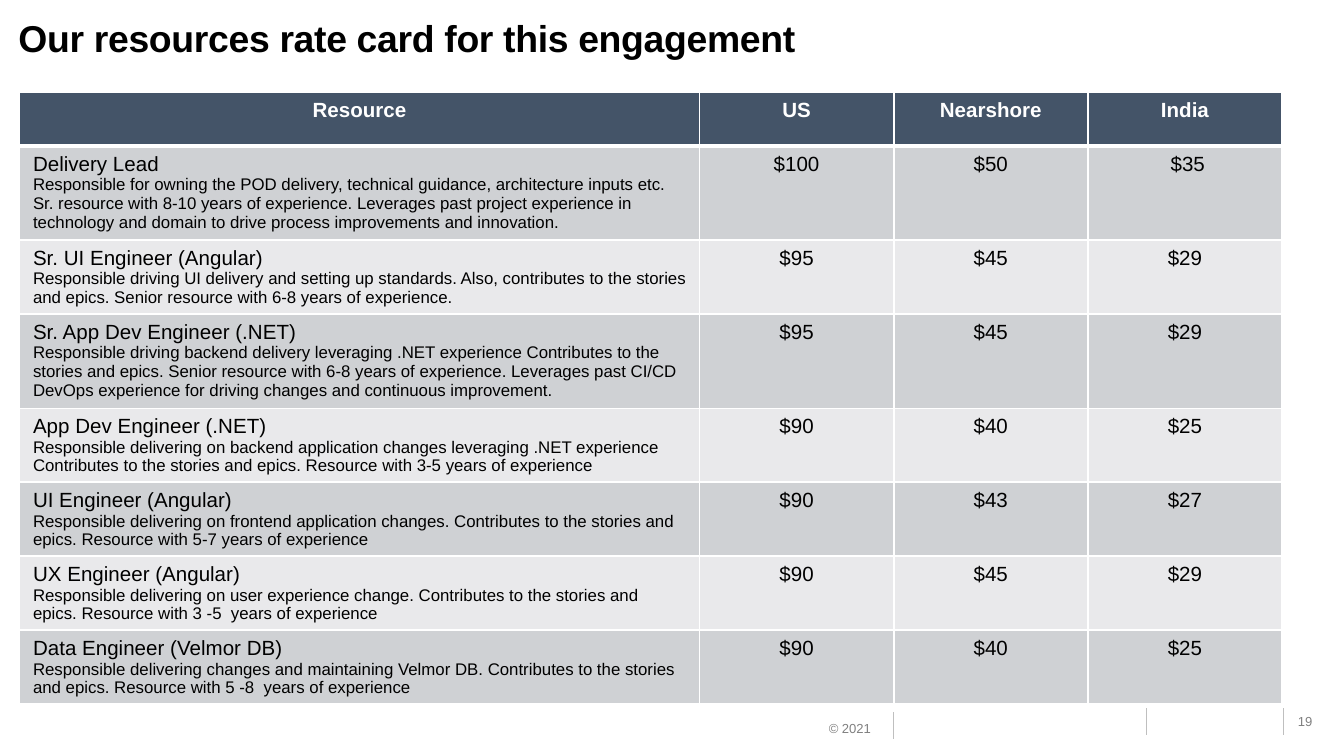
"""Build the resource rate card slide."""
import pptx
import pptx.dml.color
import pptx.enum.shapes
import pptx.enum.text
import pptx.oxml
import pptx.oxml.ns
import pptx.util
from pptx.util import Cm

ALIGN = pptx.enum.text.PP_ALIGN
ANCHOR = pptx.enum.text.MSO_ANCHOR

TITLE = "Our resources rate card for this engagement"
HEADERS = ["Resource", "US", "Nearshore", "India"]
RESOURCES = [
    ("Delivery Lead",
     "Responsible for owning the POD delivery, technical guidance, architecture inputs etc. "
     "Sr. resource with 8-10 years of experience. Leverages past project experience in "
     "technology and domain to drive process improvements and innovation.",
     ["$100", "$50", " $35"]),
    ("Sr. UI Engineer (Angular)",
     "Responsible driving UI delivery and setting up standards. Also, contributes to the stories "
     "and epics. Senior resource with 6-8 years of experience.",
     ["$95", "$45", "$29"]),
    ("Sr. App Dev Engineer (.NET)",
     "Responsible driving backend delivery leveraging .NET experience Contributes to the "
     "stories and epics. Senior resource with 6-8 years of experience. Leverages past CI/CD "
     "DevOps experience for driving changes and continuous improvement.",
     ["$95", "$45", "$29"]),
    ("App Dev Engineer (.NET)",
     "Responsible delivering on backend application changes leveraging .NET experience "
     "Contributes to the stories and epics. Resource with 3-5 years of experience",
     ["$90", "$40", "$25"]),
    ("UI Engineer (Angular)",
     "Responsible delivering on frontend application changes. Contributes to the stories and "
     "epics. Resource with 5-7 years of experience",
     ["$90", "$43", "$27"]),
    ("UX Engineer (Angular)",
     "Responsible delivering on user experience change. Contributes to the stories and "
     "epics. Resource with 3 -5  years of experience",
     ["$90", "$45", "$29"]),
    ("Data Engineer (Velmor DB)",
     "Responsible delivering changes and maintaining Velmor DB. Contributes to the stories "
     "and epics. Resource with 5 -8  years of experience",
     ["$90", "$40", "$25"]),
]
FOOTER_TEXTS = [
    ("© 2021", (15.39, 13.49, 1.32, 0.56), ALIGN.RIGHT),
    ("19", (24.26, 13.36, 0.81, 0.56), ALIGN.CENTER),
]
FOOTER_RULES = [(16.89, 13.46), (21.67, 13.39), (24.26, 13.39)]
RULE_HEIGHT = 0.5
COLUMN_WIDTHS = [12.85, 3.67, 3.67, 3.67]
ROW_HEIGHT = 1.02
CELL_BOTTOM_MARGIN = 0.04
HEADER_FILL = "445468"
BAND_FILLS = ["CFD1D4", "E9E9EB"]


def color(value):
    return pptx.dml.color.RGBColor.from_string(value)


def style(paragraph, text, size, text_color, bold=False, align=ALIGN.LEFT):
    paragraph.text = text
    paragraph.alignment = align
    paragraph.font.name = "Arial"
    paragraph.font.size = pptx.util.Pt(size)
    paragraph.font.bold = bold
    paragraph.font.color.rgb = color(text_color)


def add_text(slide, box, wrap, anchor):
    frame = slide.shapes.add_textbox(*map(Cm, box)).text_frame
    frame.word_wrap = wrap
    frame.auto_size = pptx.enum.text.MSO_AUTO_SIZE.SHAPE_TO_FIT_TEXT
    frame.vertical_anchor = anchor
    return frame.paragraphs[0]


def add_title(slide):
    paragraph = add_text(slide, (0.1, 0.25, 23.62, 1.02), True, ANCHOR.TOP)
    style(paragraph, TITLE, 20, "000000", bold=True)
    paragraph.line_spacing = 0.9
    paragraph.runs[0].font._element.set("spc", "-20")


def add_footer(slide):
    for left, top in FOOTER_RULES:
        rule = slide.shapes.add_connector(
            pptx.enum.shapes.MSO_CONNECTOR.STRAIGHT,
            Cm(left), Cm(top), Cm(left), Cm(top + RULE_HEIGHT))
        rule.line.color.rgb = color("BFBFBF")
        rule.line.width = pptx.util.Pt(0.5)
        rule._element.spPr.append(pptx.oxml.parse_xml(
            f"<a:effectLst {pptx.oxml.ns.nsdecls('a')}/>"))
    for text, box, align in FOOTER_TEXTS:
        style(add_text(slide, box, False, ANCHOR.MIDDLE), text, 7, "808080", align=align)


def format_cell(cell, fill, top=1, bottom=1):
    properties = cell._tc.get_or_add_tcPr()
    for side, width in (("L", 1), ("R", 1), ("T", top), ("B", bottom)):
        properties.append(pptx.oxml.parse_xml(
            f'<a:ln{side} {pptx.oxml.ns.nsdecls("a")} w="{pptx.util.Pt(width)}">'
            f'<a:solidFill><a:srgbClr val="FFFFFF"/></a:solidFill></a:ln{side}>'))
    cell.fill.solid()
    cell.fill.fore_color.rgb = color(fill)
    cell.margin_bottom = Cm(CELL_BOTTOM_MARGIN)


def add_rate_table(slide):
    row_count = len(RESOURCES) + 1
    table = slide.shapes.add_table(
        row_count, len(HEADERS), Cm(0.37), Cm(1.74),
        Cm(sum(COLUMN_WIDTHS)), Cm(ROW_HEIGHT * row_count)).table
    for column, width in zip(table.columns, COLUMN_WIDTHS):
        column.width = Cm(width)
    for row in table.rows:
        row.height = Cm(ROW_HEIGHT)
    for cell, header in zip(table.rows[0].cells, HEADERS):
        format_cell(cell, HEADER_FILL, bottom=3)
        style(cell.text_frame.paragraphs[0], header, 11, "FFFFFF", True, ALIGN.CENTER)
    for index, (role, duties, rates) in enumerate(RESOURCES):
        cells = list(table.rows[index + 1].cells)
        for cell in cells:
            format_cell(cell, BAND_FILLS[index % 2], top=1 if index else 3)
        style(cells[0].text_frame.paragraphs[0], role, 11, "000000")
        style(cells[0].text_frame.add_paragraph(), duties, 9, "000000")
        for cell, rate in zip(cells[1:], rates):
            style(cell.text_frame.paragraphs[0], rate, 11, "000000", align=ALIGN.CENTER)


def main():
    presentation = pptx.Presentation()
    presentation.slide_width = Cm(25.4)
    presentation.slide_height = Cm(14.29)
    slide = presentation.slides.add_slide(presentation.slide_layouts[6])
    add_footer(slide)
    add_title(slide)
    add_rate_table(slide)
    presentation.save("out.pptx")


if __name__ == "__main__":
    main()
